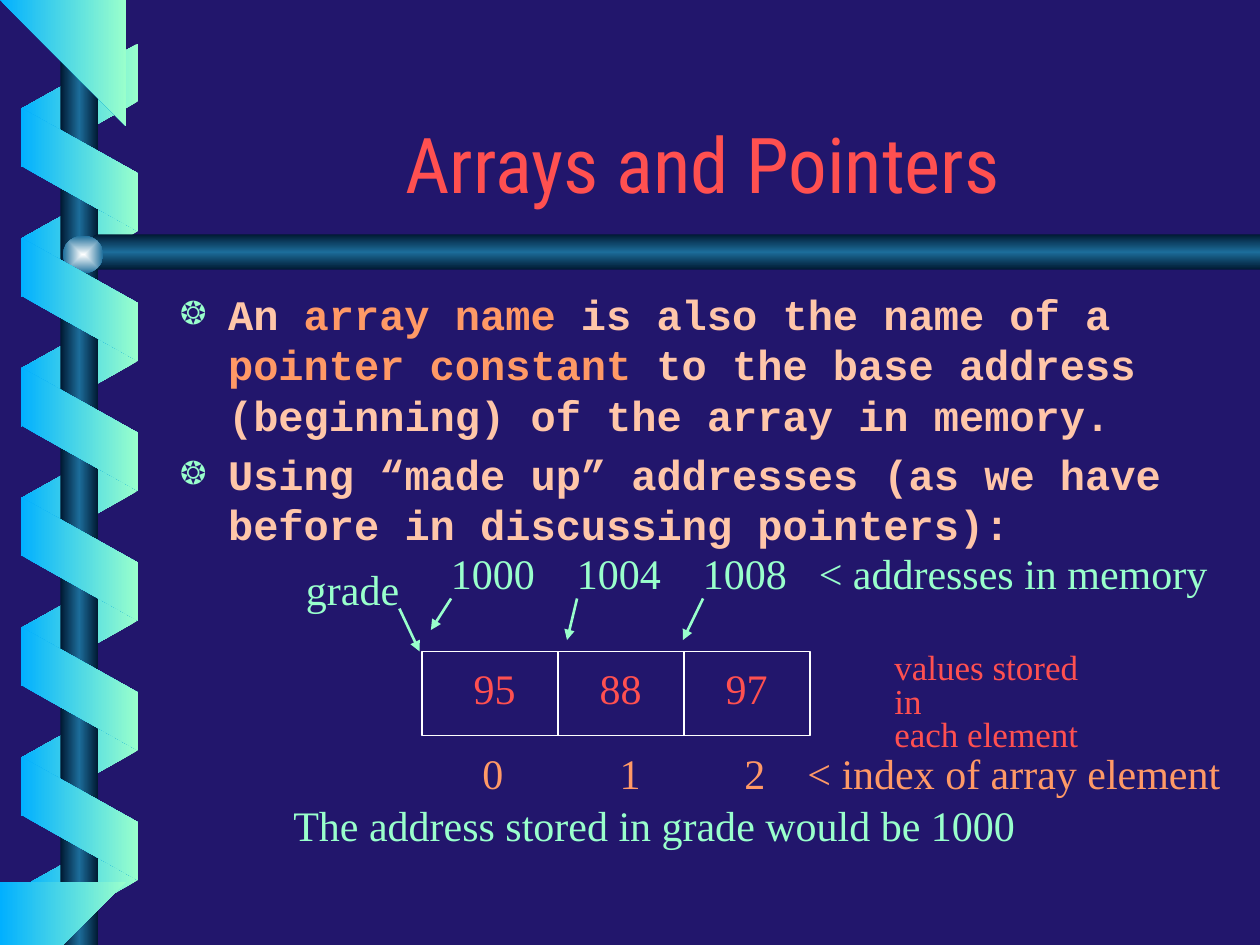
import pptx
import pptx.util
import pptx.dml.color
import pptx.enum.shapes
import pptx.enum.text
import pptx.oxml
import pptx.oxml.ns

deck = pptx.Presentation()
deck.slide_width = pptx.util.Inches(10)
deck.slide_height = pptx.util.Inches(7.5)
cell = deck.slide_width // 10
slide = deck.slides.add_slide(deck.slide_layouts[1])
shapes = slide.shapes
kinds = pptx.enum.shapes.MSO_SHAPE
space = pptx.oxml.ns.nsdecls("a")
MINT, SKY, CORAL, PEACH, TAN = "99FFCC", "01B0FF", "FF5050", "FFC6A9", "FF9966"
NAVY, STEEL, WHITE = "001932", "1C6D9A", "FFFFFF"
SERIF, MONO = "Times New Roman", "Courier New"


def hue(code):
    return pptx.dml.color.RGBColor.from_string(code)


def shade(shape, codes, way):
    last = len(codes) - 1
    stops = "".join(
        f'<a:gs pos="{100000 * n // last}"><a:srgbClr val="{code}"/></a:gs>'
        for n, code in enumerate(codes)
    )
    grad = f'<a:gradFill {space} rotWithShape="0"><a:gsLst>{stops}</a:gsLst>{way}</a:gradFill>'
    shape.shadow.inherit = False
    shape.line.fill.background()
    shape._element.spPr.insert(2, pptx.oxml.parse_xml(grad))


ACROSS = '<a:lin ang="0" scaled="1"/>'
DOWN = '<a:lin ang="5400000" scaled="1"/>'
ROUND = '<a:path path="shape"><a:fillToRect l="50000" t="50000" r="50000" b="50000"/></a:path>'

slide.background.fill.solid()
slide.background.fill.fore_color.rgb = hue("22166C")

back = [(0.37 + 1.03 * n, 90, [MINT, SKY]) for n in range(7)]
front = [(0.88 + 1.03 * n, 270, [SKY, MINT]) for n in range(6)]
beams = [
    (kinds.RECTANGLE, (0.48, 0, 0.3, 7.5), [NAVY, STEEL, NAVY], ACROSS),
    (kinds.PENTAGON, (0.6, 1.86, 9.4, 0.28), [NAVY, STEEL, NAVY], DOWN),
    (kinds.OVAL, (0.5, 1.87, 0.32, 0.3), ["FEFFFF", STEEL], ROUND),
]
for bands in (back, front):
    for top, turn, codes in bands:
        band = shapes.add_shape(
            kinds.PARALLELOGRAM, *[round(v * cell) for v in (0.14, top, 0.98, 0.93)]
        )
        band.adjustments[0] = 0.56
        band.rotation = turn
        if bands is back:
            band._element.spPr.xfrm.set("flipH", "1")
        shade(band, codes, ACROSS)
    if bands is back:
        for kind, box, codes, way in beams:
            beam = shapes.add_shape(kind, *[round(v * cell) for v in box])
            if kind == kinds.PENTAGON:
                beam.adjustments[0] = 0.59
                beam._element.spPr.xfrm.set("flipH", "1")
            shade(beam, codes, way)

ends = [
    [(0.17, 0), (0.17, 0.29), (1.09, 0.81), (1.09, 0.35), (0.47, 0)],
    [(0.96, 7.49), (0.17, 7.05), (0.16, 7.5)],
]
for first, *rest in ends:
    pen = shapes.build_freeform(*first, scale=cell)
    pen.add_line_segments(rest, close=True)
    shade(pen.convert_to_shape(), [SKY, MINT], ACROSS)

frame = shapes.add_shape(kinds.RECTANGLE, *[round(v * cell) for v in (3.35, 5.17, 3.08, 0.67)])
frame.shadow.inherit = False
frame.fill.background()
frame.line.color.rgb = hue(WHITE)
frame.line.width = pptx.util.Pt(0.75)

lines = [
    (4.43, 5.17, 4.43, 5.83, WHITE),
    (5.43, 5.17, 5.43, 5.83, WHITE),
    (3.17, 4.83, 3.33, 5.17, MINT),
    (3.58, 4.75, 3.42, 5, MINT),
    (4.58, 4.75, 4.5, 5.08, MINT),
    (5.58, 4.75, 5.42, 5.08, MINT),
]
for *ends, code in lines:
    line = shapes.add_connector(
        pptx.enum.shapes.MSO_CONNECTOR.STRAIGHT, *[round(v * cell) for v in ends]
    )
    line.line.color.rgb = hue(code)
    line.line.width = pptx.util.Pt(1.5)
    if code == MINT:
        line.line._get_or_add_ln().append(
            pptx.oxml.parse_xml(f'<a:tailEnd {space} type="triangle"/>')
        )
    line._element.spPr.append(pptx.oxml.parse_xml(f"<a:effectLst {space}/>"))

title, body = slide.placeholders
title.left, title.top, title.width, title.height = [
    round(v * cell) for v in (1.33, 0.46, 8.5, 1.25)
]
body.left, body.top, body.width, body.height = [
    round(v * cell) for v in (1.33, 2.24, 8.5, 4.5)
]
title.text_frame.vertical_anchor = pptx.enum.text.MSO_ANCHOR.BOTTOM

points = [
    [
        ("An ", PEACH),
        ("array name", TAN),
        (" is also the name of a ", PEACH),
        ("pointer constant", TAN),
        (" to the base address (beginning) of the array in memory.", PEACH),
    ],
    [("Using “made up” addresses (as we have before in discussing pointers):", PEACH)],
]
texts = [
    (title, [[("Arrays and Pointers", CORAL)]], 44, "Roboto Condensed", []),
    (body, points, 24, MONO, []),
]
labels = [
    ((3.33, 5.21, 2.92, 0.5), ["\t95\t88\t97"], CORAL, 24, [0.33, 1.33, 2.33]),
    ((2.33, 4.42, 1, 0.5), ["grade"], MINT, 24, []),
    ((3.48, 4.3, 6.3, 0.5), ["1000\t1004\t1008\t< addresses in memory"], MINT, 24, [1, 2, 2.92]),
    ((3.4, 5.88, 6.5, 0.5), ["\t0\t1\t2\t< index of array element"], TAN, 24,
     [0.33, 1.42, 2.41, 2.91]),
    ((7, 5.14, 1.9, 0.64), ["values stored in", "each element"], CORAL, 20, []),
    ((2.23, 6.3, 6, 0.5), ["The address stored in grade would be 1000"], MINT, 24, []),
]
for box, words, code, size, tabs in labels:
    label = shapes.add_textbox(*[round(v * cell) for v in box])
    texts.append((label, [[(word, code)] for word in words], size, SERIF, tabs))

for shape, paras, size, font, tabs in texts:
    text = shape.text_frame
    text.word_wrap = True
    text.auto_size = pptx.enum.text.MSO_AUTO_SIZE.NONE
    for n, runs in enumerate(paras):
        para = text.add_paragraph() if n else text.paragraphs[0]
        for word, code in runs:
            run = para.add_run()
            run.text = word
            run.font.name = font
            run.font.size = pptx.util.Pt(size)
            run.font.bold = font == MONO
            run.font.color.rgb = hue(code)
        if size == 20:
            para.line_spacing = 0.8
        props = para._p.get_or_add_pPr()
        if tabs:
            marks = "".join(f'<a:tab pos="{round(t * cell)}" algn="l"/>' for t in tabs)
            props.append(pptx.oxml.parse_xml(f"<a:tabLst {space}>{marks}</a:tabLst>"))
        if shape is body:
            props.set("marL", str(round(0.38 * cell)))
            props.set("indent", str(round(-0.38 * cell)))
            for mark in (
                f'<a:buClr {space}><a:srgbClr val="{MINT}"/></a:buClr>',
                f'<a:buSzPct {space} val="75000"/>',
                f'<a:buChar {space} char="❂"/>',
            ):
                props.append(pptx.oxml.parse_xml(mark))

deck.save("out.pptx")
